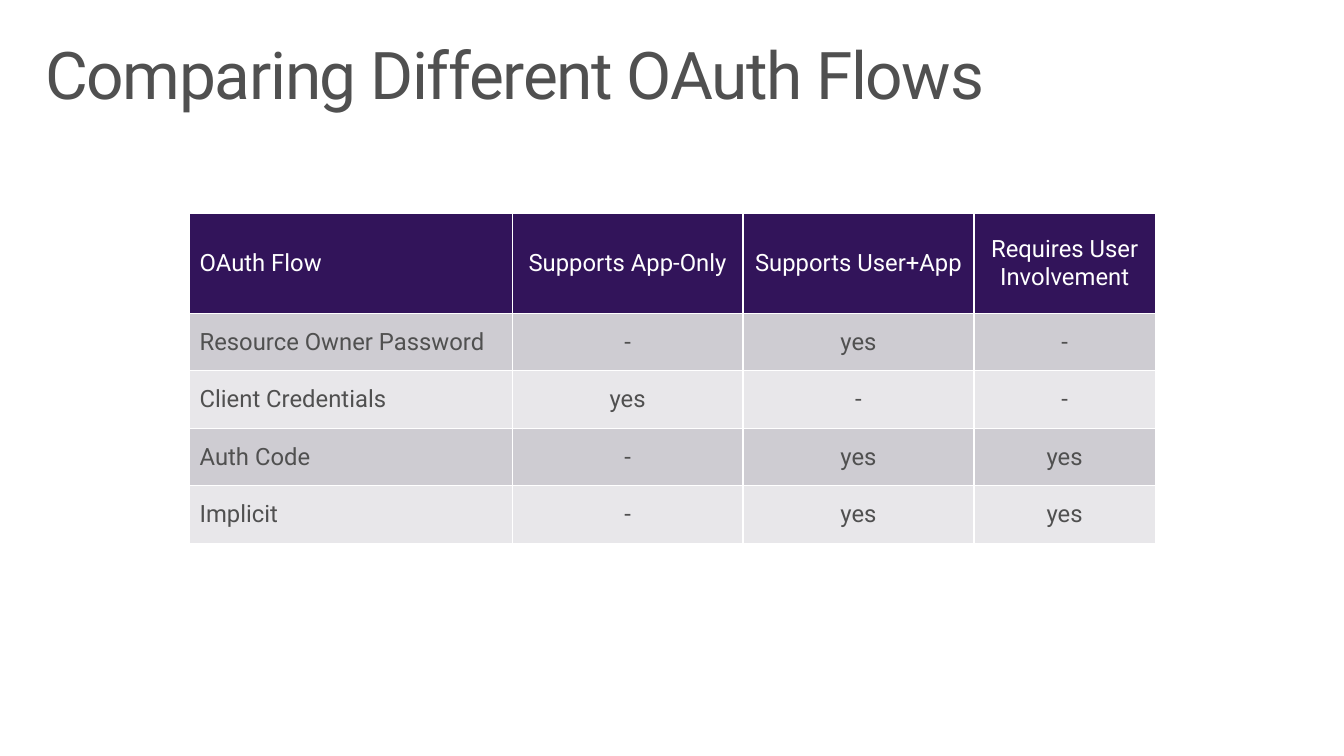
from pptx import Presentation
from pptx.dml.color import RGBColor
from pptx.enum.text import MSO_ANCHOR, PP_ALIGN
from pptx.util import Inches, Pt

TOP, MIDDLE = MSO_ANCHOR.TOP, MSO_ANCHOR.MIDDLE
LEFT, CENTER = PP_ALIGN.LEFT, PP_ALIGN.CENTER
FONT = "Roboto"
COLORS = {
    "text": "505050",
    "header": "32145A",
    "header_text": "FFFFFF",
    "odd_row": "CECCD2",
    "even_row": "E8E7EA",
}
COLUMN_WIDTHS = [3.2, 2.29, 2.29, 1.8]
ROW_HEIGHTS = [0.99] + [0.57] * 4
FLOWS = [
    ["OAuth Flow", "Supports App-Only", "Supports User+App", "Requires User Involvement"],
    ["Resource Owner Password", "-", "yes", "-"],
    ["Client Credentials", "yes", "-", "-"],
    ["Auth Code", "-", "yes", "yes"],
    ["Implicit", "-", "yes", "yes"],
]


def add_span(para, text, size, color):
    span = para.add_run()
    span.text = text
    span.font.name = FONT
    span.font.size = Pt(size)
    span.font.bold = False
    span.font.color.rgb = RGBColor.from_string(COLORS[color])
    return span


deck = Presentation()
deck.slide_width, deck.slide_height = Inches(13.33), Inches(7.5)
page = deck.slides.add_slide(deck.slide_layouts[5])

title = page.shapes.title
title.left, title.top = Inches(0.29), Inches(0.32)
title.width, title.height = Inches(12.75), Inches(0.98)
frame = title.text_frame
frame.word_wrap = True
frame.vertical_anchor = TOP
frame.margin_left = frame.margin_right = Inches(0.16)
frame.margin_top = frame.margin_bottom = Inches(0.1)
heading = frame.paragraphs[0]
heading.alignment = LEFT
heading.line_spacing = 0.9
heading_span = add_span(heading, "Comparing Different OAuth Flows", 47, "text")
heading_span.font._element.set("spc", "-100")

table = page.shapes.add_table(
    len(ROW_HEIGHTS), len(COLUMN_WIDTHS), Inches(1.88), Inches(2.12),
    Inches(sum(COLUMN_WIDTHS)), Inches(sum(ROW_HEIGHTS)),
).table
for column, width in zip(table.columns, COLUMN_WIDTHS):
    column.width = Inches(width)
for row, height in zip(table.rows, ROW_HEIGHTS):
    row.height = Inches(height)

for row_index, values in enumerate(FLOWS):
    if row_index == 0:
        fill, color = "header", "header_text"
    else:
        fill, color = "odd_row" if row_index % 2 else "even_row", "text"
    for column_index, value in enumerate(values):
        cell = table.cell(row_index, column_index)
        cell.fill.solid()
        cell.fill.fore_color.rgb = RGBColor.from_string(COLORS[fill])
        cell.vertical_anchor = MIDDLE
        para = cell.text_frame.paragraphs[0]
        para.alignment = CENTER if column_index else LEFT
        add_span(para, value, 17, color)

deck.save("out.pptx")
